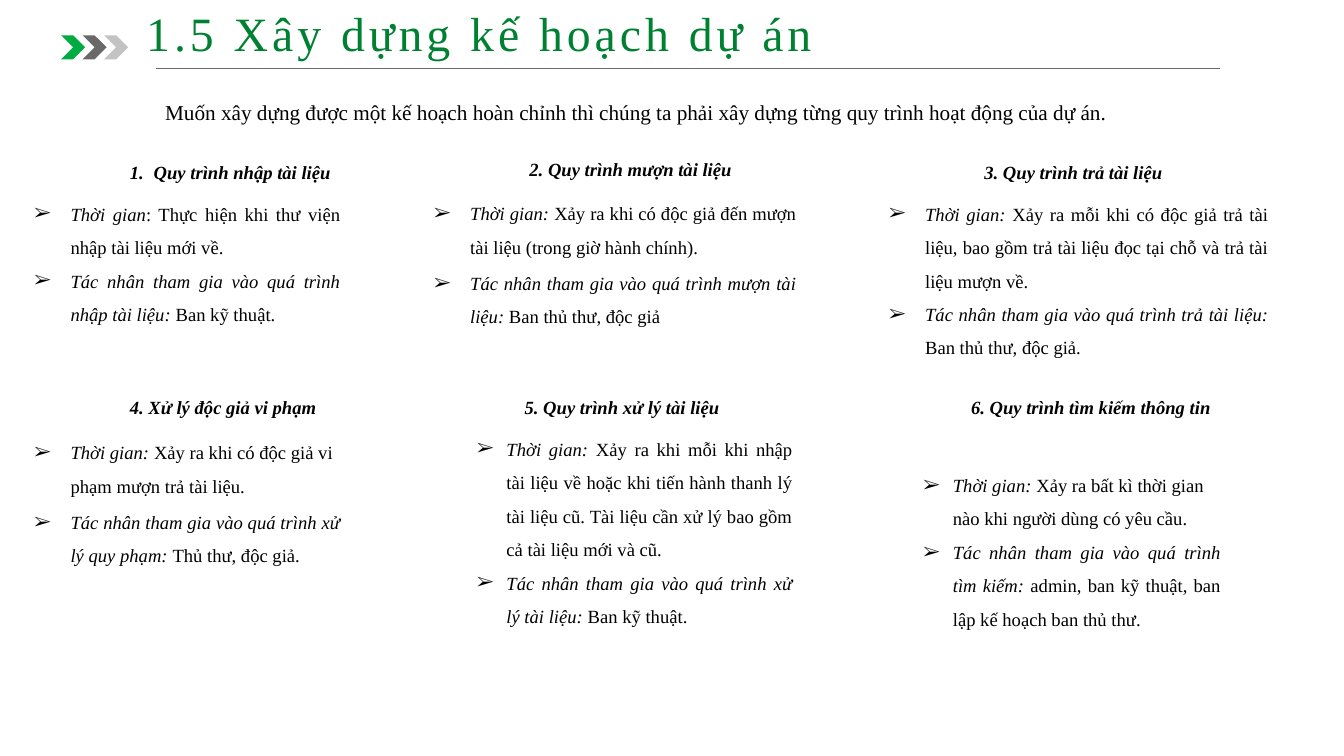
from lxml.etree import SubElement
from pptx import Presentation
from pptx.dml.color import RGBColor
from pptx.enum.shapes import MSO_CONNECTOR, MSO_SHAPE
from pptx.enum.text import MSO_ANCHOR, MSO_AUTO_SIZE, PP_ALIGN
from pptx.oxml.ns import qn
from pptx.util import Inches, Pt

LEFT, JUSTIFY = PP_ALIGN.LEFT, PP_ALIGN.JUSTIFY
TIME = "Thời gian: "
ACTORS = "Tác nhân tham gia vào quá trình "


def add_span(para, text, size, color="000000", bold=False, italic=False):
    span = para.add_run()
    span.text = text
    span.font.name = "Times New Roman"
    span.font.size = Pt(size)
    span.font.bold = bold
    span.font.italic = italic
    span.font.color.rgb = RGBColor.from_string(color)
    return span


def set_indent(para, margin, hang, tag=None, **marker):
    properties = para._p.get_or_add_pPr()
    properties.set("marL", str(Inches(margin)))
    properties.set("indent", str(Inches(-hang)))
    if tag:
        SubElement(properties, qn("a:buFont"), typeface="Times New Roman")
        SubElement(properties, qn(tag), **marker)


deck = Presentation()
deck.slide_width = Inches(14.06)
deck.slide_height = Inches(7.91)
page = deck.slides.add_slide(deck.slide_layouts.get_by_name("Title Only"))

for index, color in enumerate(["00AC42", "696969", "C3C3C3"]):
    chevron = page.shapes.add_shape(
        MSO_SHAPE.CHEVRON, Inches(0.64 + 0.225 * index), Inches(0.37), Inches(0.25), Inches(0.25))
    chevron.shadow.inherit = False
    chevron.fill.solid()
    chevron.fill.fore_color.rgb = RGBColor.from_string(color)
    chevron.line.fill.background()

title = page.shapes.title
title.left, title.top = Inches(1.45), Inches(0)
title.width, title.height = Inches(11.96), Inches(0.69)
frame = title.text_frame
frame.auto_size = MSO_AUTO_SIZE.NONE
frame.word_wrap = True
frame.vertical_anchor = MSO_ANCHOR.TOP
frame.margin_left = frame.margin_right = Inches(0.08)
frame.margin_top = frame.margin_bottom = Inches(0.04)
frame.paragraphs[0].alignment = LEFT
span = add_span(frame.paragraphs[0], "1.5 Xây dựng kế hoạch dự án", 36, "008132")
span._r.get_or_add_rPr().set("spc", "300")

rule = page.shapes.add_connector(
    MSO_CONNECTOR.STRAIGHT, Inches(1.63), Inches(0.72), Inches(12.76), Inches(0.72))
rule.line.color.rgb = RGBColor.from_string("696969")
rule.line.width = Pt(0.5)
SubElement(rule._element.spPr, qn("a:effectLst"))

intro = page.shapes.add_textbox(Inches(1.63), Inches(0.86), Inches(11.13), Inches(0.46))
intro.text_frame.word_wrap = True
para = intro.text_frame.paragraphs[0]
para.alignment = JUSTIFY
para.line_spacing = 1.5
add_span(para, "Muốn xây dựng được một kế hoạch hoàn chỉnh thì chúng ta phải xây dựng "
               "từng quy trình hoạt động của dự án.", 16)

# left, top, width, height, heading, space after heading, bullet margin, bullet hang,
# then bullets as alignment, space before, italic label, plain text
processes = [
    (0.26, 1.52, 3.4, 1.95, "Quy trình nhập tài liệu", 6, 0.38, 0.38, [
        (JUSTIFY, 0, "Thời gian", ": Thực hiện khi thư viện nhập tài liệu mới về."),
        (JUSTIFY, 0, ACTORS + "nhập tài liệu: ", "Ban kỹ thuật.")]),
    (4.44, 1.49, 3.99, 2.01, "2. Quy trình mượn tài liệu", 6, 0.38, 0.38, [
        (JUSTIFY, 2, TIME, "Xảy ra khi có độc giả đến mượn tài liệu (trong giờ hành chính)."),
        (JUSTIFY, 2, ACTORS + "mượn tài liệu: ", "Ban thủ thư, độc giả")]),
    (9.2, 1.52, 4.17, 2.31, "3. Quy trình trả tài liệu", 6, 0.38, 0.38, [
        (JUSTIFY, 0, TIME, "Xảy ra mỗi khi có độc giả trả tài liệu, bao gồm trả tài liệu "
                           "đọc tại chỗ và trả tài liệu mượn về."),
        (JUSTIFY, 0, ACTORS + "trả tài liệu: ", "Ban thủ thư, độc giả.")]),
    (0.26, 3.98, 3.4, 2.02, "4. Xử lý độc giả vi phạm", 6, 0.38, 0.38, [
        (LEFT, 2.5, TIME, "Xảy ra khi có độc giả vi phạm mượn trả tài liệu."),
        (JUSTIFY, 2.3, ACTORS + "xử lý quy phạm: ", "Thủ thư, độc giả.")]),
    (4.39, 3.98, 4, 2.66, "5. Quy trình xử lý tài liệu", 6, 0.81, 0.31, [
        (JUSTIFY, 0, TIME, "Xảy ra khi mỗi khi nhập tài liệu về hoặc khi tiến hành thanh lý "
                           "tài liệu cũ. Tài liệu cần xử lý bao gồm cả tài liệu mới và cũ."),
        (JUSTIFY, 0, ACTORS + "xử lý tài liệu: ", "Ban kỹ thuật.")]),
    (9.06, 3.98, 3.81, 2.33, "6. Quy trình tìm kiếm thông tin", 31, 0.81, 0.31, [
        (LEFT, 2.3, TIME, "Xảy ra bất kì thời gian nào khi người dùng có yêu cầu."),
        (JUSTIFY, 0, ACTORS + "tìm kiếm: ",
         "admin, ban kỹ thuật, ban lập kế hoạch ban thủ thư.")]),
]

for left, top, width, height, heading, after, margin, hang, bullets in processes:
    box = page.shapes.add_textbox(Inches(left), Inches(top), Inches(width), Inches(height))
    frame = box.text_frame
    frame.word_wrap = True
    para = frame.paragraphs[0]
    if heading[0].isdigit():
        set_indent(para, 1, 0)
    else:
        set_indent(para, 1.25, 0.25, "a:buAutoNum", type="arabicPeriod")
    para.alignment = JUSTIFY
    para.line_spacing = 1.5
    para.space_after = Pt(after)
    add_span(para, heading, 14, bold=True, italic=True)
    for alignment, before, label, detail in bullets:
        para = frame.add_paragraph()
        set_indent(para, margin, hang, "a:buChar", char="➢")
        para.alignment = alignment
        para.line_spacing = 1.5
        para.space_before = Pt(before)
        add_span(para, label, 14, italic=True)
        add_span(para, detail, 14)

deck.save("out.pptx")
